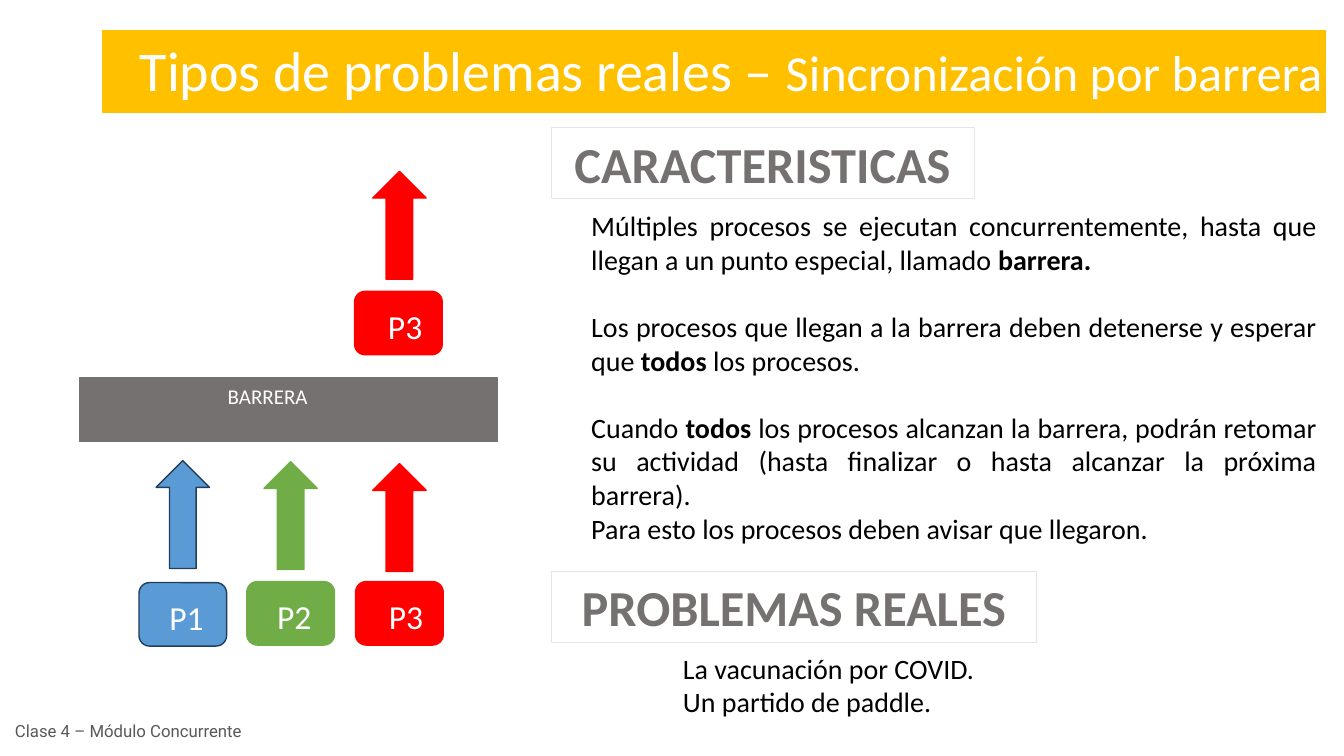
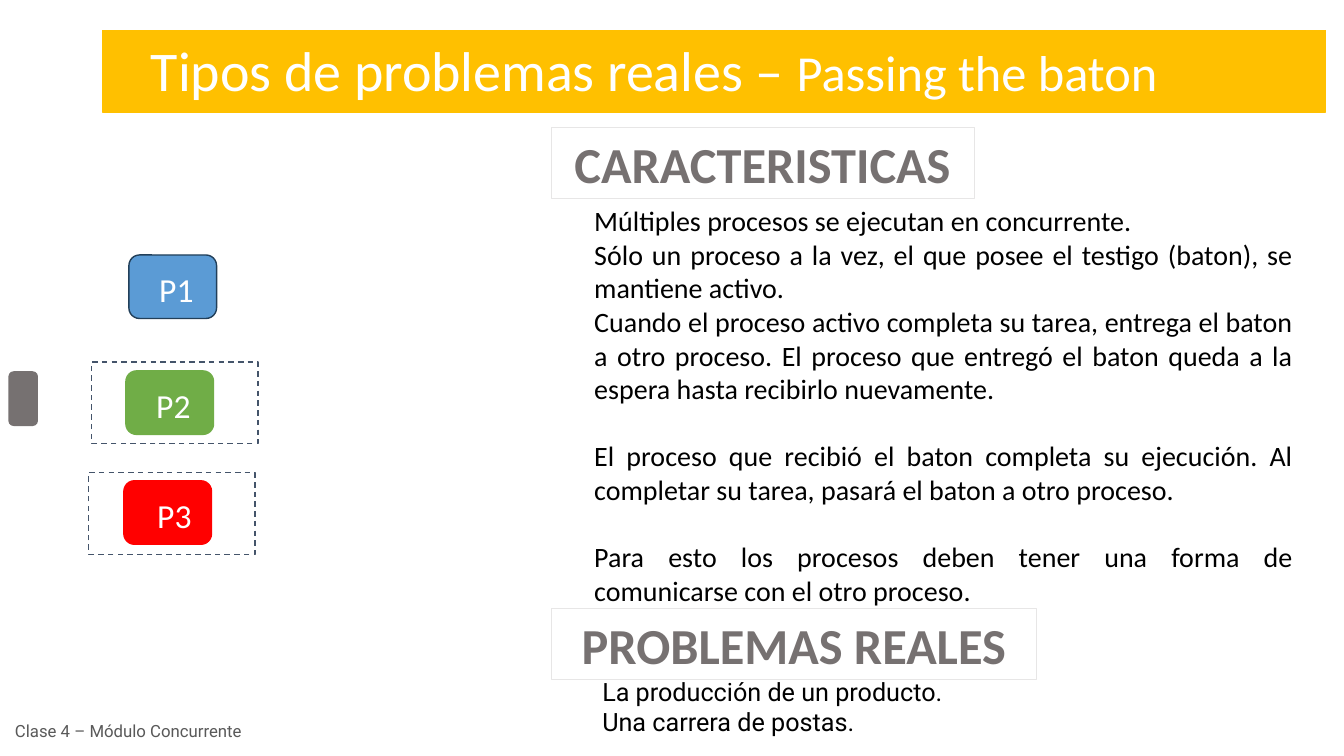
from collections import namedtuple
from dataclasses import dataclass

from pptx import Presentation
from pptx.dml.color import RGBColor
from pptx.enum.dml import MSO_LINE
from pptx.enum.shapes import MSO_SHAPE
from pptx.enum.text import MSO_ANCHOR, MSO_AUTO_SIZE, PP_ALIGN
from pptx.util import Pt

PX = 9144  # 100 px to the inch
TextStyle = namedtuple("TextStyle", "size color font bold", defaults=("Calibri", False))


@dataclass(frozen=True)
class Theme:
    band: str = "FFC000"
    gray: str = "767171"
    frame: str = "E7E6E6"
    dash: str = "44546A"
    title: TextStyle = TextStyle(40, "FFFFFF")
    topic: TextStyle = TextStyle(36, "FFFFFF")
    heading: TextStyle = TextStyle(36, "767171", bold=True)
    body: TextStyle = TextStyle(20, "000000")
    strong: TextStyle = TextStyle(20, "000000", bold=True)
    example: TextStyle = TextStyle(18, "000000", "Roboto")
    process: TextStyle = TextStyle(24, "FFFFFF")
    barrier: TextStyle = TextStyle(15, "FFFFFF")
    footer: TextStyle = TextStyle(12, "595959", "Roboto")
    paragraph_gap: int = 24


THEME = Theme()
Process = namedtuple("Process", "fill line inset")
PROCESSES = {
    "P1": Process("5B9BD5", "223F59", 27),
    "P2": Process("70AD47", "70AD47", 27),
    "P3": Process("FF0000", "FF0000", 30),
}


def draw(page, kind, frame, fill=None, line=None, weight=1):
    """Add a preset shape; frame is left, top, width, height in px."""
    shape = page.shapes.add_shape(kind, *(value * PX for value in frame))
    shape.shadow.inherit = False
    if fill:
        shape.fill.solid()
        shape.fill.fore_color.rgb = RGBColor.from_string(fill)
    else:
        shape.fill.background()
    shape.line.color.rgb = RGBColor.from_string(line or fill)
    shape.line.width = Pt(weight)
    return shape


def write(target, paragraphs, align=PP_ALIGN.LEFT, insets=(10, 5), anchor=MSO_ANCHOR.TOP, gaps=()):
    """Fill a shape with paragraphs of (text, style) runs; gaps lists those set apart."""
    box = target.text_frame
    box.word_wrap = True
    box.vertical_anchor = anchor
    box.margin_left, box.margin_top = (value * PX for value in insets)
    box.margin_right, box.margin_bottom = 10 * PX, insets[1] * PX
    for index, runs in enumerate(paragraphs):
        para = box.paragraphs[0] if index == 0 else box.add_paragraph()
        para.alignment = align
        if index in gaps:
            para.space_before = Pt(THEME.paragraph_gap)
        for text, style in runs:
            span = para.add_run()
            span.text = text
            span.font.size = Pt(style.size)
            span.font.name = style.font
            span.font.bold = style.bold
            span.font.color.rgb = RGBColor.from_string(style.color)
    return box


# Content of each slide
SLIDES = [
    {
        "topic": "Sincronización por barrera",
        "title_frame": (129, 30, 1199, 77),
        "body_frame": (577, 197, 740, 355),
        "body": [
            [("Múltiples procesos se ejecutan concurrentemente, hasta que llegan a un punto "
              "especial, llamado", THEME.body), (" barrera.", THEME.strong)],
            [("Los procesos que llegan a la barrera deben detenerse y esperar que ", THEME.body),
             ("todos", THEME.strong), (" los procesos.", THEME.body)],
            [("Cuando ", THEME.body), ("todos", THEME.strong),
             (" los procesos alcanzan la barrera, podrán retomar su actividad (hasta finalizar "
              "o hasta alcanzar la próxima barrera).", THEME.body)],
            [("Para esto los procesos deben avisar que llegaron.", THEME.body)],
        ],
        "gaps": (1, 2),
        "problems_top": 567,
        "examples_frame": (668, 641, 422, 77),
        "examples": ["La vacunación por COVID.", "Un partido de paddle."],
        "example_style": THEME.body,
        "processes": [("P1", 138, 578), ("P2", 245, 577), ("P3", 353, 577), ("P3", 352, 289)],
        "arrows": [("P1", 155, 457), ("P2", 262, 458), ("P3", 370, 460), ("P3", 370, 170)],
        "barrier": (79, 375, 415, 63),
        "baton": None,
        "waiting": [],
    },
    {
        "topic": "Passing the baton",
        "title_frame": (140, 30, 1034, 77),
        "body_frame": (580, 192, 713, 429),
        "body": [
            [("Múltiples procesos se ejecutan en concurrente.", THEME.body)],
            [("Sólo un proceso a la vez, el que posee el testigo (baton), se mantiene activo.",
              THEME.body)],
            [("Cuando el proceso activo completa su tarea, entrega el baton a otro proceso. "
              "El proceso que entregó el baton queda a la espera hasta recibirlo nuevamente.",
              THEME.body)],
            [("El proceso que recibió el baton completa su ejecución. Al completar su tarea, "
              "pasará el baton a otro proceso.", THEME.body)],
            [("Para esto los procesos deben tener una forma de comunicarse con el otro proceso.",
              THEME.body)],
        ],
        "gaps": (3, 4),
        "problems_top": 604,
        "examples_frame": (588, 666, 410, 70),
        "examples": ["La producción de un producto.", "Una carrera de postas."],
        "example_style": THEME.example,
        "processes": [("P1", 128, 253), ("P2", 125, 368), ("P3", 123, 477)],
        "arrows": [],
        "barrier": None,
        "baton": (9, 369, 28, 53),
        "waiting": [(91, 359), (88, 469)],
    },
]

deck = Presentation()
deck.slide_width, deck.slide_height = 1334 * PX, 750 * PX

for content in SLIDES:
    page = deck.slides.add_slide(deck.slide_layouts[6])

    # Title band and footer
    draw(page, MSO_SHAPE.RECTANGLE, (102, 30, 1214, 81), THEME.band)
    title = page.shapes.add_textbox(*(value * PX for value in content["title_frame"]))
    title_text = write(title, [[("Tipos de problemas reales – ", THEME.title),
                                (content["topic"], THEME.topic)]])
    title_text.word_wrap = False
    title_text.auto_size = MSO_AUTO_SIZE.SHAPE_TO_FIT_TEXT
    footer = page.shapes.add_textbox(5 * PX, 705 * PX, 268 * PX, 40 * PX)
    write(footer, [[("Clase 4 – Módulo Concurrente", THEME.footer)]], anchor=MSO_ANCHOR.MIDDLE)

    # Characteristics and real problems
    body = page.shapes.add_textbox(*(value * PX for value in content["body_frame"]))
    write(body, content["body"], PP_ALIGN.JUSTIFY, (10, 10), gaps=content["gaps"])
    for heading, top, width in [("CARACTERISTICAS", 127, 420),
                                ("PROBLEMAS REALES", content["problems_top"], 482)]:
        box = draw(page, MSO_SHAPE.RECTANGLE, (547, top, width, 70), line=THEME.frame, weight=0.75)
        write(box, [[(heading, THEME.heading)]], PP_ALIGN.CENTER)
    examples = page.shapes.add_textbox(*(value * PX for value in content["examples_frame"]))
    write(examples, [[(text, content["example_style"])] for text in content["examples"]],
          PP_ALIGN.JUSTIFY)

    # Processes and their arrows
    for name, left, top in content["processes"]:
        process = PROCESSES[name]
        box = draw(page, MSO_SHAPE.ROUNDED_RECTANGLE, (left, top, 87, 63), process.fill, process.line)
        write(box, [[(name, THEME.process)]], insets=(process.inset, 11))
    for name, left, top in content["arrows"]:
        process = PROCESSES[name]
        draw(page, MSO_SHAPE.UP_ARROW, (left, top, 53, 107), process.fill, process.line)

    # Barrier, baton and waiting frames
    if content["barrier"]:
        barrier = draw(page, MSO_SHAPE.RECTANGLE, content["barrier"], THEME.gray)
        box = write(barrier, [[("BARRERA", THEME.barrier)]], insets=(147, 10))
        box.paragraphs[0].line_spacing = 0.8
    if content["baton"]:
        draw(page, MSO_SHAPE.ROUNDED_RECTANGLE, content["baton"], THEME.gray)
    for left, top in content["waiting"]:
        waiting = draw(page, MSO_SHAPE.RECTANGLE, (left, top, 165, 81), line=THEME.dash)
        waiting.line.dash_style = MSO_LINE.DASH

deck.save("out.pptx")
